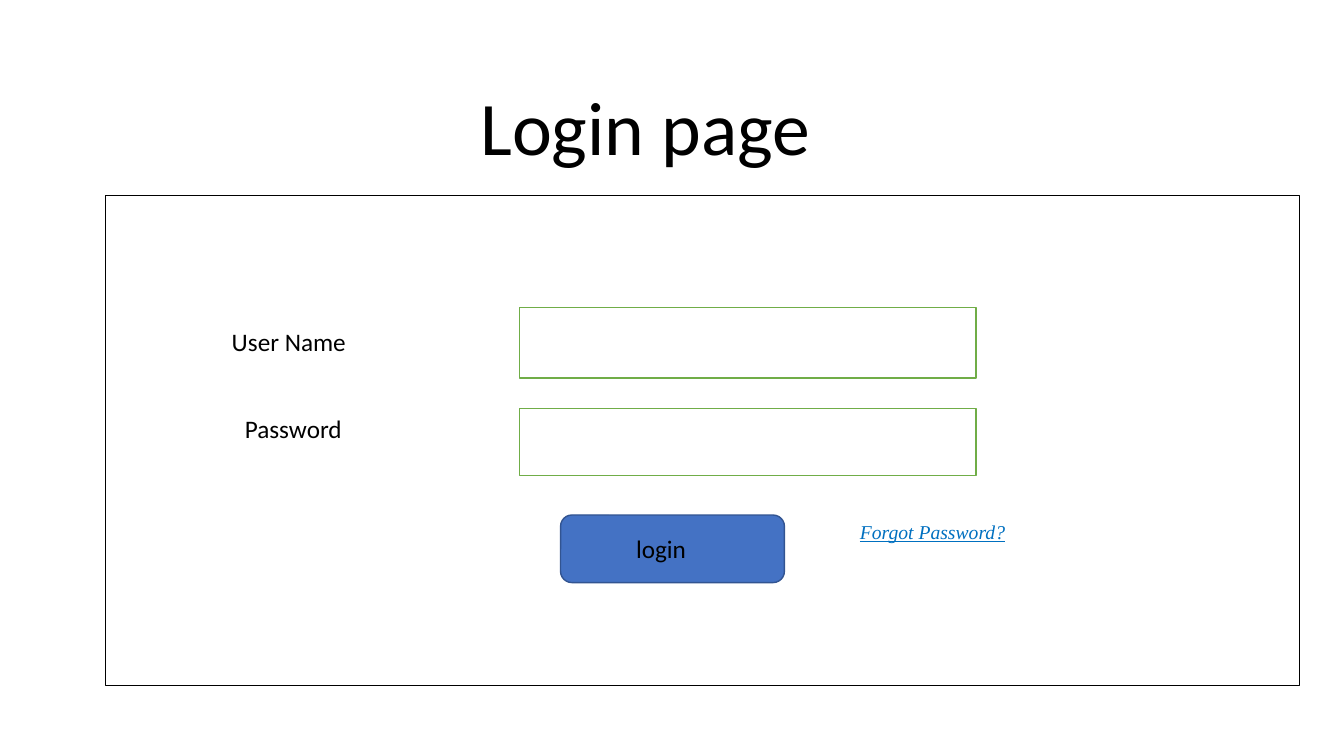
import pptx
import pptx.dml.color
import pptx.enum.shapes
import pptx.enum.text
import pptx.util

Inches = pptx.util.Inches
Pt = pptx.util.Pt
Shapes = pptx.enum.shapes.MSO_SHAPE

LABEL = {"name": "Calibri", "size": Pt(18)}
HEADING = {"name": "Calibri", "size": Pt(54)}
LINK = {"name": "Times New Roman", "size": Pt(14), "italic": True, "underline": True}


def color(hex_value):
    return pptx.dml.color.RGBColor.from_string(hex_value)


def write_text(shape, text, font_format, text_color="000000"):
    paragraph = shape.text_frame.paragraphs[0]
    run = paragraph.add_run()
    run.text = text
    for name, value in font_format.items():
        setattr(run.font, name, value)
    run.font.color.rgb = color(text_color)
    return paragraph


def set_title(slide, text, left, top, width, height):
    title = slide.shapes.title
    place = {"left": left, "top": top, "width": width, "height": height}
    for name, value in place.items():
        setattr(title, name, Inches(value))
    title.text_frame.auto_size = pptx.enum.text.MSO_AUTO_SIZE.NONE
    title.text_frame.vertical_anchor = pptx.enum.text.MSO_ANCHOR.BOTTOM
    paragraph = write_text(title, text, HEADING)
    paragraph.alignment = pptx.enum.text.PP_ALIGN.CENTER
    paragraph.line_spacing = 0.9


def add_box(slide, kind, left, top, width, height, line, fill=None, line_width=1):
    box = slide.shapes.add_shape(
        kind, Inches(left), Inches(top), Inches(width), Inches(height))
    box.shadow.inherit = False
    if fill:
        box.fill.solid()
        box.fill.fore_color.rgb = color(fill)
    else:
        box.fill.background()
    box.line.color.rgb = color(line)
    box.line.width = Pt(line_width)


def add_label(slide, text, left, top, width, height=0.4,
              font_format=LABEL, text_color="000000"):
    label = slide.shapes.add_textbox(
        Inches(left), Inches(top), Inches(width), Inches(height))
    label.text_frame.word_wrap = True
    label.text_frame.auto_size = pptx.enum.text.MSO_AUTO_SIZE.SHAPE_TO_FIT_TEXT
    write_text(label, text, font_format, text_color)


def main():
    presentation = pptx.Presentation()
    presentation.slide_width = Inches(13.33)
    presentation.slide_height = Inches(7.5)
    slide = presentation.slides.add_slide(presentation.slide_layouts[5])

    set_title(slide, "Login page", 1.67, 1.23, 9.46, 0.52)

    # Input fields
    for top, height in ((3.05, 0.7), (4.05, 0.67)):
        add_box(slide, Shapes.RECTANGLE, 5.15, top, 4.53, height, "70AD47", "FFFFFF")
    add_label(slide, "User Name", 2.2, 3.19, 2.39)
    add_label(slide, "Password", 2.33, 4.05, 1.85)

    # Login button and password link
    add_box(slide, Shapes.ROUNDED_RECTANGLE, 5.56, 5.11, 2.22, 0.67, "325491", "4472C4")
    add_label(slide, "login", 6.21, 5.24, 0.91)
    add_label(slide, "Forgot Password?", 8.43, 5.11, 2.39, 0.34, LINK, "0070C0")

    # Frame around the form
    add_box(slide, Shapes.RECTANGLE, 1.05, 1.94, 11.84, 4.86, "000000", line_width=0.75)

    presentation.save("out.pptx")


if __name__ == "__main__":
    main()
